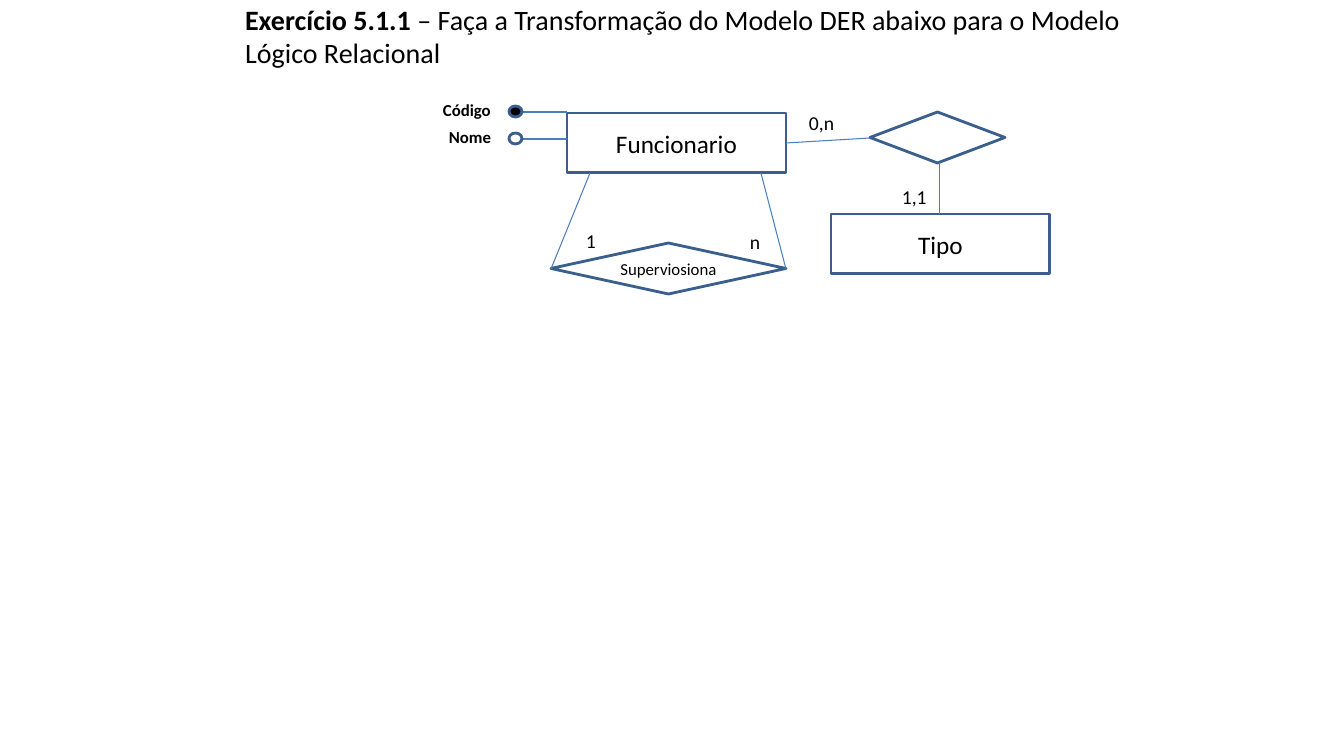
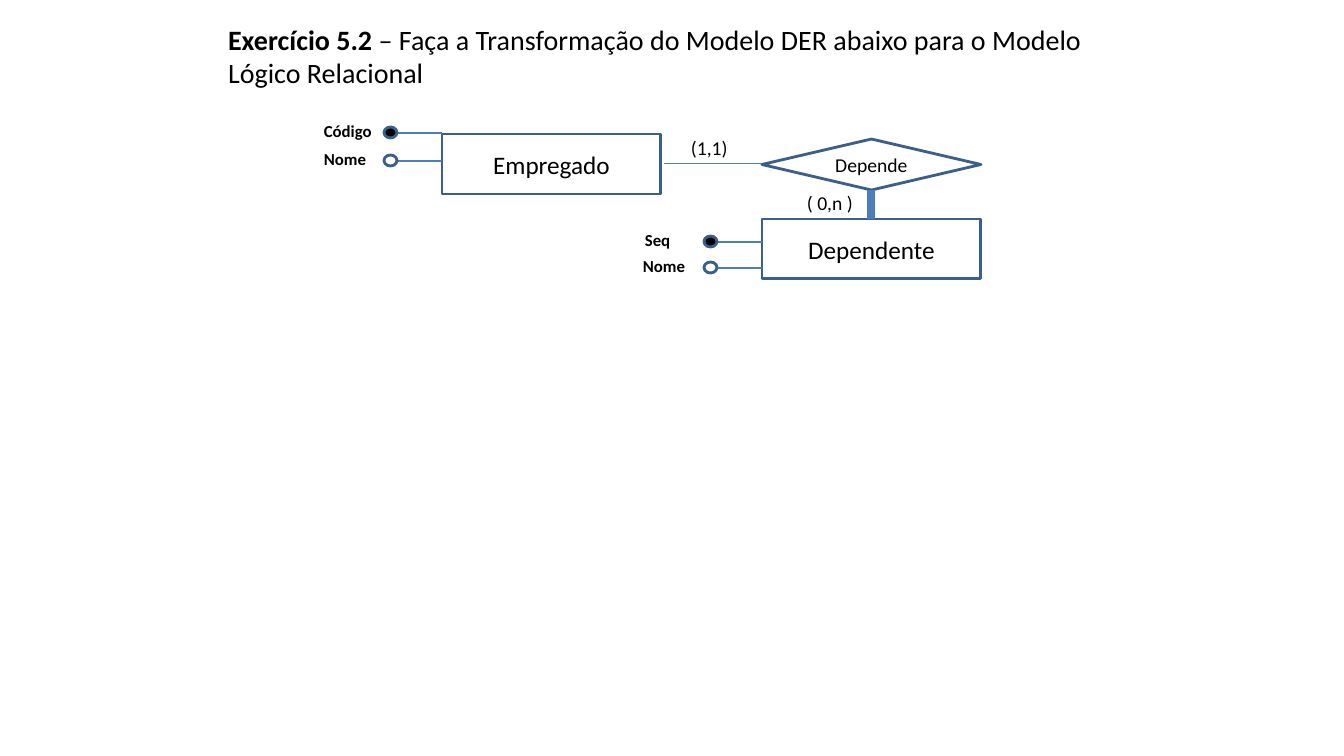
from collections import namedtuple

from lxml.etree import SubElement
from pptx import Presentation
from pptx.dml.color import RGBColor
from pptx.enum.shapes import MSO_CONNECTOR, MSO_SHAPE
from pptx.enum.text import MSO_ANCHOR, MSO_AUTO_SIZE, PP_ALIGN
from pptx.oxml.ns import qn
from pptx.util import Emu, Pt

COLOURS = {"text": "000000", "paper": "FFFFFF", "outline": "3A5F8C", "link": "4B7EBC"}
FONT = "Calibri"
ENTITY_WIDTH, ENTITY_HEIGHT, DIAMOND_HEIGHT = 219, 60, 51
DOT_WIDTH, DOT_HEIGHT, DOT_OFFSET = 13, 11, 58
QUESTION = " – Faça a Transformação do Modelo DER abaixo para o Modelo Lógico Relacional"

Box = namedtuple("Box", "left top width height")


def px(length):
    return Emu(round(length * 914400 / 100.8))


def colour(name):
    return RGBColor.from_string(COLOURS[name])


def write(para, text, size=14, bold=False):
    span = para.add_run()
    span.text = text
    span.font.name = FONT
    span.font.size = Pt(size)
    span.font.bold = bold
    span.font.color.rgb = colour("text")


def add_title(page, box, number):
    title = page.shapes.title
    title.left, title.top, title.width, title.height = map(px, box)
    frame = title.text_frame
    frame.auto_size = MSO_AUTO_SIZE.NONE
    frame.vertical_anchor = MSO_ANCHOR.MIDDLE
    para = frame.paragraphs[0]
    para.alignment = PP_ALIGN.LEFT
    write(para, "Exercício " + number, size=20, bold=True)
    write(para, QUESTION, size=20)


def add_label(page, box, text, **style):
    frame = page.shapes.add_textbox(*map(px, box)).text_frame
    frame.word_wrap = False
    frame.auto_size = MSO_AUTO_SIZE.SHAPE_TO_FIT_TEXT
    write(frame.paragraphs[0], text, **style)


def add_node(page, kind, box, fill=None, text="", size=18):
    node = page.shapes.add_shape(kind, *map(px, box))
    node.shadow.inherit = False
    if fill:
        node.fill.solid()
        node.fill.fore_color.rgb = colour(fill)
    else:
        node.fill.background()
    node.line.color.rgb = colour("outline")
    node.line.width = Pt(2)
    if text:
        frame = node.text_frame
        frame.word_wrap = True
        frame.vertical_anchor = MSO_ANCHOR.MIDDLE
        frame.paragraphs[0].alignment = PP_ALIGN.CENTER
        write(frame.paragraphs[0], text, size=size)


def add_entity(page, left, top, text):
    add_node(page, MSO_SHAPE.RECTANGLE, Box(left, top, ENTITY_WIDTH, ENTITY_HEIGHT),
             fill="paper", text=text)


def add_relation(page, left, top, width, text="", size=14):
    add_node(page, MSO_SHAPE.FLOWCHART_DECISION, Box(left, top, width, DIAMOND_HEIGHT),
             fill="paper", text=text, size=size)


def add_link(page, start, end, width=0.75):
    link = page.shapes.add_connector(MSO_CONNECTOR.STRAIGHT, *map(px, start + end))
    link.line.color.rgb = colour("link")
    link.line.width = Pt(width)
    SubElement(link._element.spPr, qn("a:effectLst"))


def add_attribute(page, edge, middle, label_left, label_width, text, key=False):
    dot_left = edge - DOT_OFFSET
    add_link(page, (dot_left + DOT_WIDTH, middle), (edge, middle), width=2)
    add_node(page, MSO_SHAPE.FLOWCHART_CONNECTOR,
             Box(dot_left, middle - 6, DOT_WIDTH, DOT_HEIGHT), fill="text" if key else None)
    add_label(page, Box(label_left, middle - 17, label_width, 30), text, size=12, bold=True)


def draw_employee_types(page, left, top):
    right, bottom = left + ENTITY_WIDTH, top + ENTITY_HEIGHT
    add_entity(page, left, top, "Funcionario")
    add_attribute(page, left, top - 1, left - 134, 72, "Código", key=True)
    add_attribute(page, left, top + 26, left - 128, 66, "Nome")

    loop_left, loop_top, loop_width = left - 16, top + 130, 235
    loop_middle = loop_top + DIAMOND_HEIGHT // 2 + 1
    add_relation(page, loop_left, loop_top, loop_width, "Superviosiona", size=12)
    add_link(page, (left + 23, bottom), (loop_left, loop_middle))
    add_link(page, (right - 25, bottom), (loop_left + loop_width, loop_middle))
    add_label(page, Box(left + 9, top + 111, 30, 34), "1")
    add_label(page, Box(left + 173, top + 112, 31, 34), "n")

    type_left, type_top = left + 264, top + 101
    type_middle = type_left + ENTITY_WIDTH // 2
    add_relation(page, left + 303, top - 1, 135)
    add_entity(page, type_left, type_top, "Tipo")
    add_link(page, (type_middle, top + 49), (type_middle, type_top))
    add_link(page, (right, top + 30), (left + 303, top + 25))
    add_label(page, Box(left + 325, top + 67, 46, 34), "1,1")
    add_label(page, Box(left + 232, top - 7, 46, 34), "0,n")


def draw_dependents(page, left, top):
    add_entity(page, left, top, "Empregado")
    add_attribute(page, left, top - 1, left - 128, 72, "Código", key=True)
    add_attribute(page, left, top + 27, left - 128, 66, "Nome")

    weak_left, weak_top = left + 320, top + 85
    weak_middle = weak_left + ENTITY_WIDTH // 2
    add_entity(page, weak_left, weak_top, "Dependente")
    add_attribute(page, weak_left, weak_top + 23, weak_left - 127, 48, "Seq", key=True)
    add_attribute(page, weak_left, weak_top + 49, weak_left - 129, 66, "Nome")

    add_relation(page, weak_left, top + 5, ENTITY_WIDTH, "Depende")
    add_link(page, (left + 222, top + 30), (weak_left, top + 30))
    add_link(page, (weak_middle, top + 56), (weak_middle, weak_top), width=6)
    add_label(page, Box(left + 239, top - 3, 59, 34), "(1,1)")
    add_label(page, Box(left + 355, top + 52, 69, 34), "( 0,n )")


deck = Presentation()
deck.slide_width, deck.slide_height = px(1344), px(756)
exercises = [
    ("5.1.1", Box(235, -8, 907, 88), draw_employee_types, (567, 113)),
    ("5.2", Box(218, 12, 907, 88), draw_dependents, (442, 134)),
]
for number, title_box, draw, corner in exercises:
    page = deck.slides.add_slide(deck.slide_layouts[5])
    page.background.fill.solid()
    page.background.fill.fore_color.rgb = colour("paper")
    add_title(page, title_box, number)
    draw(page, *corner)
deck.save("out.pptx")
